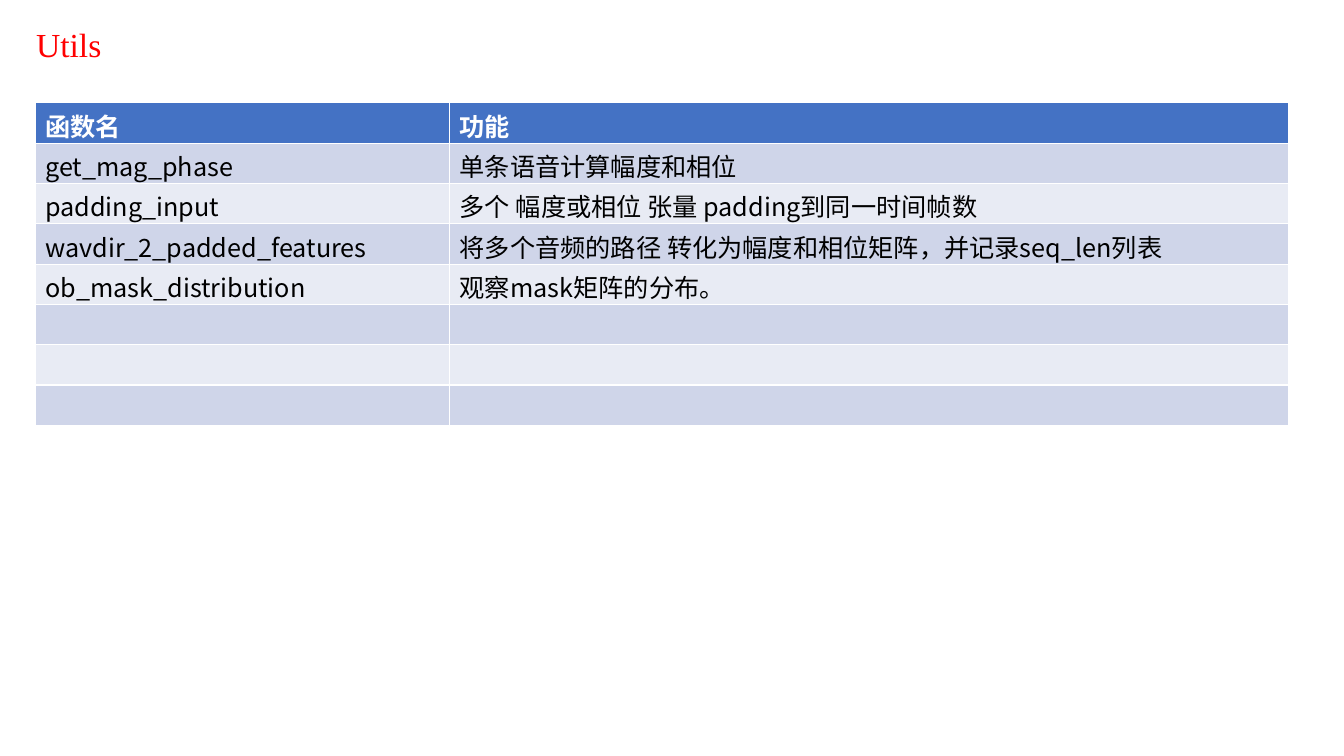
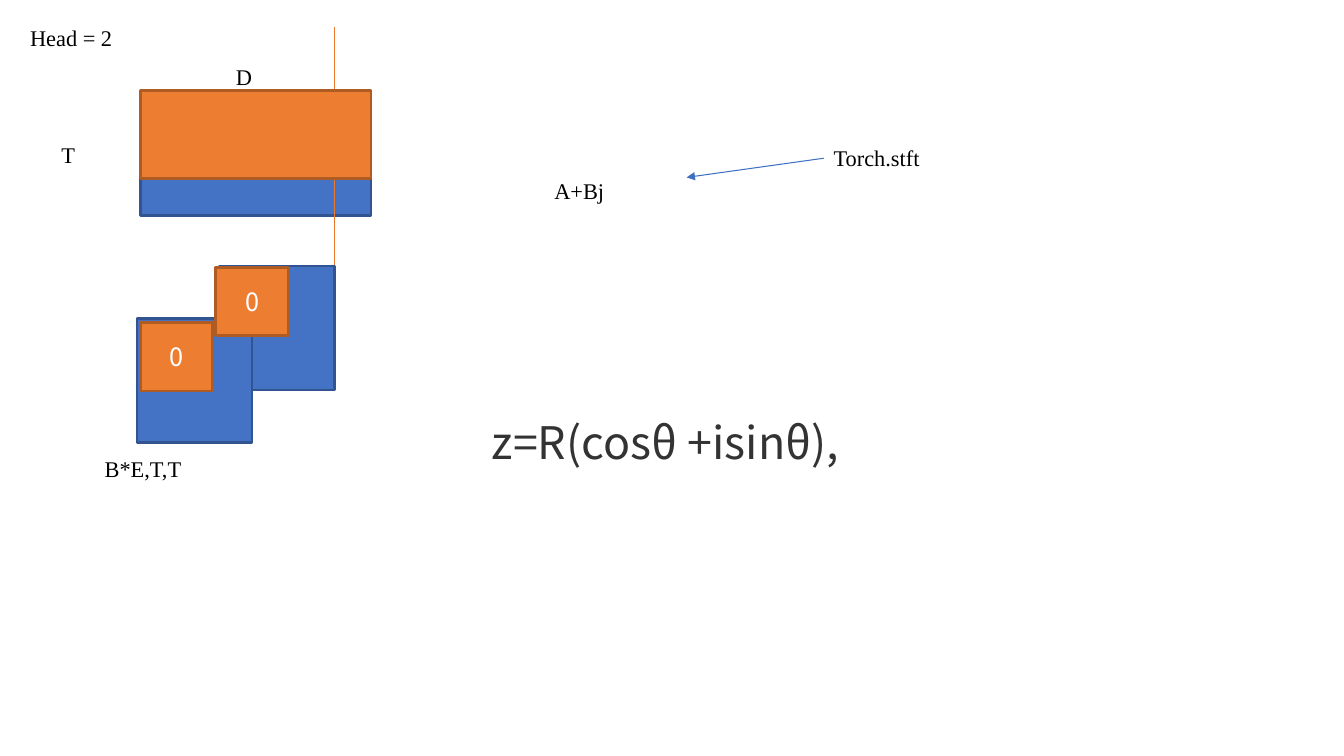
from lxml import etree
from pptx import Presentation
from pptx.dml.color import RGBColor
from pptx.enum import shapes, text
from pptx.oxml.ns import qn
from pptx.util import Inches, Pt

BLACK = RGBColor(0x00, 0x00, 0x00)
WHITE = RGBColor(0xFF, 0xFF, 0xFF)
RED = RGBColor(0xFF, 0x00, 0x00)
GRAY = RGBColor(0x33, 0x33, 0x33)
BLUE = RGBColor(0x44, 0x72, 0xC4)
BLUE_EDGE = RGBColor(0x32, 0x54, 0x91)
BLUE_LINE = RGBColor(0x3F, 0x6F, 0xC3)
ORANGE = RGBColor(0xED, 0x7D, 0x31)
ORANGE_EDGE = RGBColor(0xAF, 0x5C, 0x24)
ORANGE_LINE = RGBColor(0xEC, 0x79, 0x2B)
BAND_DARK = RGBColor(0xCF, 0xD5, 0xE9)
BAND_LIGHT = RGBColor(0xE8, 0xEB, 0xF4)

SERIF = "Times New Roman"
SANS = "Noto Sans CJK SC"

FUNCTIONS = [
    ("函数名", "功能"),
    ("get_mag_phase", "单条语音计算幅度和相位"),
    ("padding_input", "多个 幅度或相位 张量 padding到同一时间帧数"),
    ("wavdir_2_padded_features",
     "将多个音频的路径 转化为幅度和相位矩阵，并记录seq_len列表"),
    ("ob_mask_distribution", "观察mask矩阵的分布。"),
] + [("", "")] * 3


class Deck:
    """Holds the presentation, its style and the current slide."""

    def __init__(self):
        self.prs = Presentation()
        self.prs.slide_width = Inches(13.33)
        self.prs.slide_height = Inches(7.5)
        self.slide = None

    def new_slide(self):
        self.slide = self.prs.slides.add_slide(self.prs.slide_layouts[6])

    def add_words(self, paragraph, words, size, color, font=SANS, bold=False):
        run = paragraph.add_run()
        run.text = words
        run.font.color.rgb = color
        style = {"size": Pt(size), "name": font, "bold": bold}
        for name, value in style.items():
            setattr(run.font, name, value)
        east_asian = etree.SubElement(run.font._element, qn("a:ea"))
        east_asian.set("typeface", font)

    def label(self, words, left, top, width, height=0.36,
              size=16, color=BLACK, font=SERIF):
        box = self.slide.shapes.add_textbox(
            Inches(left), Inches(top), Inches(width), Inches(height))
        frame = box.text_frame
        frame.word_wrap = True
        frame.auto_size = text.MSO_AUTO_SIZE.SHAPE_TO_FIT_TEXT
        self.add_words(frame.paragraphs[0], words, size, color, font)

    def block(self, left, top, width, height, fill, edge, words=""):
        rect = self.slide.shapes.add_shape(
            shapes.MSO_SHAPE.RECTANGLE,
            Inches(left), Inches(top), Inches(width), Inches(height))
        rect.shadow.inherit = False
        rect.fill.solid()
        rect.fill.fore_color.rgb = fill
        rect.line.color.rgb = edge
        rect.line.width = Pt(2)
        if words:
            frame = rect.text_frame
            frame.vertical_anchor = text.MSO_ANCHOR.MIDDLE
            paragraph = frame.paragraphs[0]
            paragraph.alignment = text.PP_ALIGN.CENTER
            self.add_words(paragraph, words, 18, WHITE)

    def line(self, start, end, color, arrow=False):
        link = self.slide.shapes.add_connector(
            shapes.MSO_CONNECTOR.STRAIGHT,
            *(Inches(value) for value in start + end))
        link.line.color.rgb = color
        link.line.width = Pt(0.75)
        properties = link._element.spPr
        if arrow:
            outline = properties.find(qn("a:ln"))
            etree.SubElement(outline, qn("a:tailEnd")).set("type", "triangle")
        etree.SubElement(properties, qn("a:effectLst"))

    def table(self, rows, left, top, widths, row_height):
        grid = self.slide.shapes.add_table(
            len(rows), len(widths), Inches(left), Inches(top),
            Inches(sum(widths)), Inches(row_height * len(rows))).table
        for column, width in zip(grid.columns, widths):
            column.width = Inches(width)
        for r, row in enumerate(rows):
            header = r == 0
            band = BAND_DARK if r % 2 else BAND_LIGHT
            for c, words in enumerate(row):
                cell = grid.cell(r, c)
                cell.margin_top, cell.margin_bottom = Inches(0.04), 0
                cell.fill.solid()
                cell.fill.fore_color.rgb = BLUE if header else band
                if words:
                    self.add_words(cell.text_frame.paragraphs[0], words, 18,
                                   WHITE if header else BLACK, bold=header)


def utils_slide(deck):
    deck.new_slide()
    deck.label("Utils", 0.26, 0.19, 1.06, 0.5, size=24, color=RED)
    deck.table(FUNCTIONS, 0.35, 1.02, (4.11, 8.32), 0.4)


def attention_slide(deck):
    deck.new_slide()
    deck.block(1.39, 0.93, 2.29, 1.21, BLUE, BLUE_EDGE)
    deck.label("D", 2.24, 0.58, 0.6)
    deck.label("T", 0.51, 1.35, 0.6)
    deck.label("Head = 2", 0.2, 0.19, 1.49)
    deck.line((3.32, 0.27), (3.32, 3.25), ORANGE_LINE)
    for left, top in ((2.18, 2.64), (1.36, 3.16)):
        deck.block(left, top, 1.14, 1.23, BLUE, BLUE_EDGE)
    deck.label("B*E,T,T", 0.94, 4.47, 1.14)
    deck.block(1.39, 0.9, 2.29, 0.87, ORANGE, ORANGE_EDGE)
    for left, top in ((1.39, 3.2), (2.14, 2.65)):
        deck.block(left, top, 0.72, 0.68, ORANGE, ORANGE_EDGE, "0")

    deck.label("z=R(cosθ +isinθ),", 4.78, 4.07, 4.06, 1.16,
               size=32, color=GRAY, font=SANS)
    deck.label("Torch.stft", 8.17, 1.38, 3.77)
    deck.line((8.17, 1.57), (6.81, 1.76), BLUE_LINE, arrow=True)
    deck.label("A+Bj", 5.4, 1.71, 1.05)


def main():
    deck = Deck()
    utils_slide(deck)
    attention_slide(deck)
    deck.prs.save("out.pptx")


if __name__ == "__main__":
    main()
